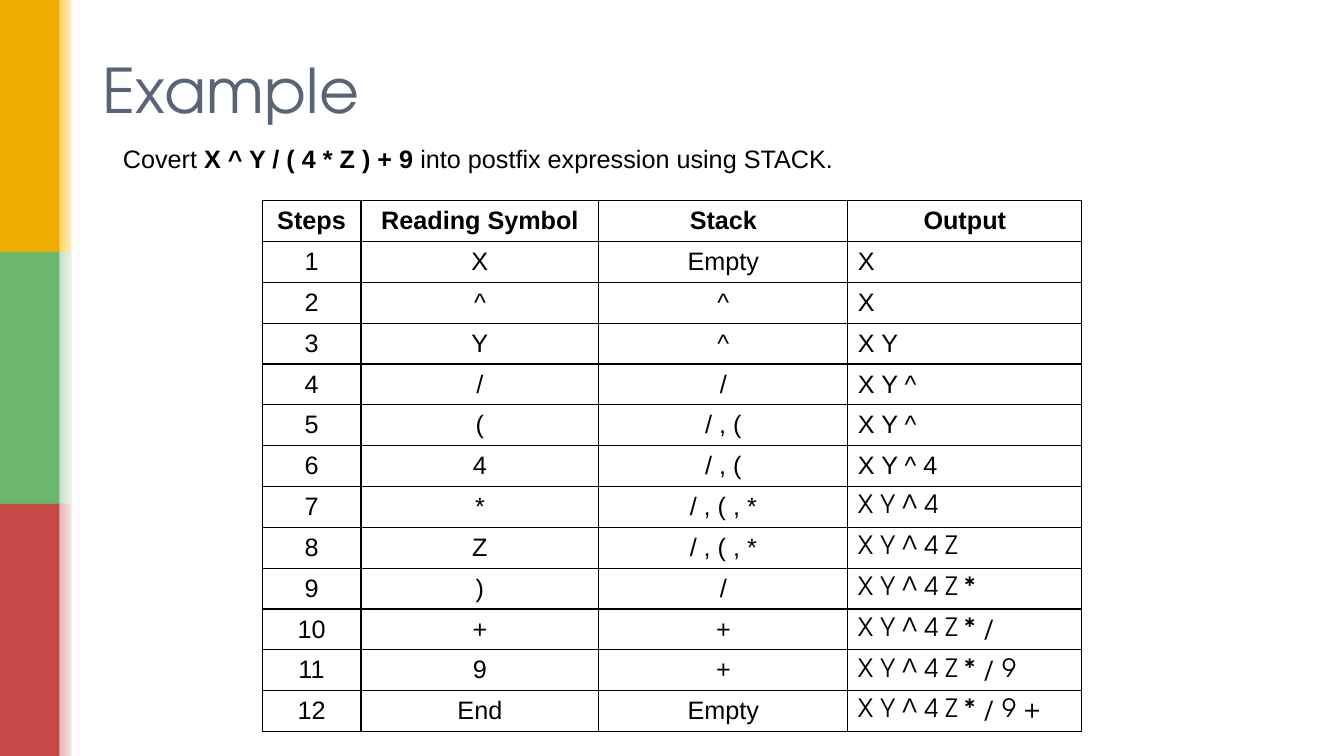
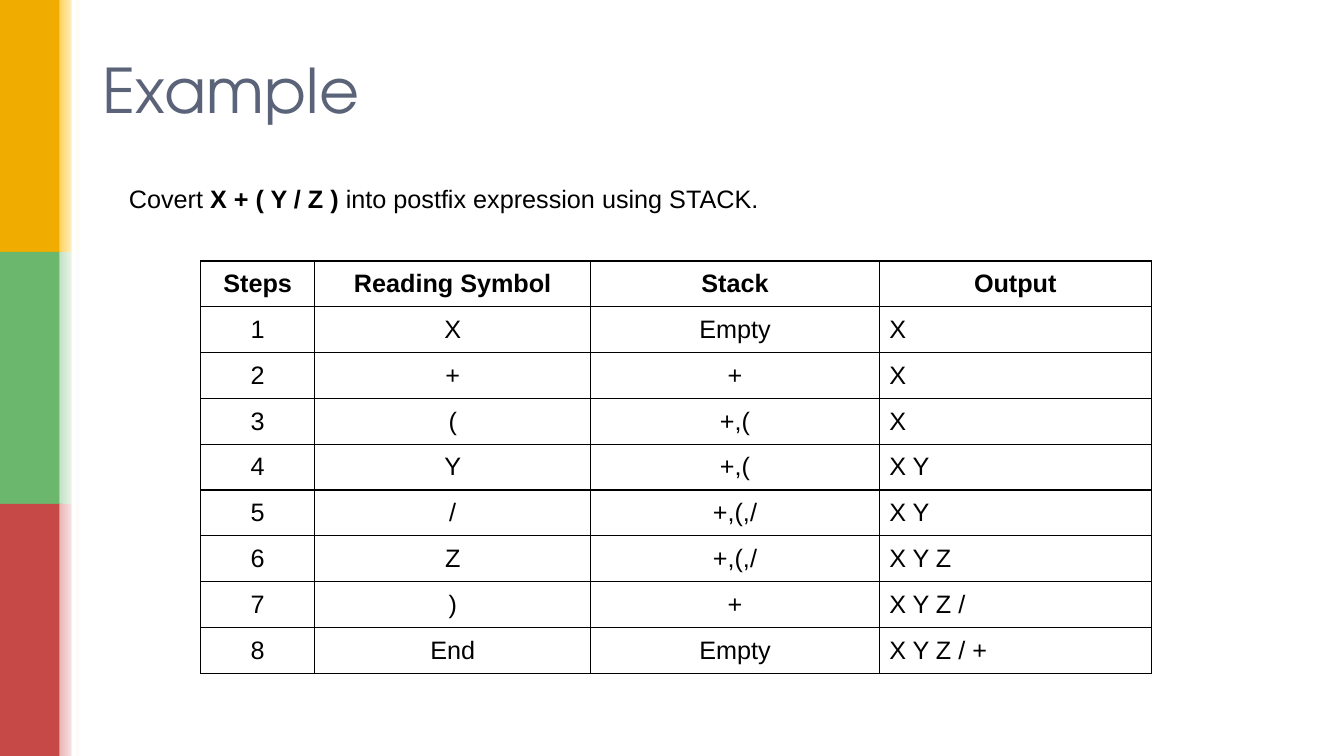
from dataclasses import dataclass

from lxml import etree
from pptx import Presentation
from pptx.dml.color import RGBColor
from pptx.enum.shapes import MSO_SHAPE
from pptx.enum.text import MSO_ANCHOR, PP_ALIGN
from pptx.oxml.ns import qn
from pptx.util import Emu, Pt

RECT = MSO_SHAPE.RECTANGLE
MID = MSO_ANCHOR.MIDDLE
LEFT, CENTER = PP_ALIGN.LEFT, PP_ALIGN.CENTER
SCALE = 9144  # EMU in one px, 100 px to the inch
WIDE, HIGH = 1333, 750


@dataclass(frozen=True)
class Theme:
    ink: str = "000000"
    white: str = "FFFFFF"
    slate: str = "5A6378"
    # Solid band and start of its fade, top to bottom
    bands: tuple = (("F0AD00", "FFD25D"), ("6BB76D", "C4E2C5"), ("C64847", "E8B6B5"))
    head: str = "TeX Gyre Adventor"
    body: str = "Arial"
    big: int = 44
    text: int = 18
    rule: int = 1


T = Theme()


def px(n):
    return Emu(round(n * SCALE))


def rgb(code):
    return RGBColor.from_string(code)


def style(font, name=T.body, size=T.text, color=T.ink, bold=False):
    for key, val in {"name": name, "size": Pt(size), "bold": bold}.items():
        setattr(font, key, val)
    font.color.rgb = rgb(color)


def write(para, text, **look):
    run = para.add_run()
    run.text = text
    style(run.font, **look)


def block(slide, box, color, fade=None):
    shape = slide.shapes.add_shape(RECT, *map(px, box))
    shape.shadow.inherit = False
    shape.line.fill.background()
    if fade:
        shape.fill.gradient()
        shape.fill.gradient_angle = 0
        for stop, code, spot in zip(shape.fill.gradient_stops, (color, fade), (0, 1)):
            stop.color.rgb = rgb(code)
            stop.position = spot
    else:
        shape.fill.solid()
        shape.fill.fore_color.rgb = rgb(color)


def stripe(slide, box):
    """Colour bands down the left side, each fading out to the right."""
    left, top, wide, high = box
    step = high / len(T.bands)
    for i, (color, tint) in enumerate(T.bands):
        block(slide, (left, top + i * step, 62, step), color)
        block(slide, (left + 59, top + i * step, wide - 59, step), tint, T.white)
    block(slide, (left + 71, top, 5, high), T.white)


def title(slide, box, text):
    frame = slide.shapes.add_textbox(*map(px, box)).text_frame
    for key, val in {"word_wrap": True, "vertical_anchor": MID}.items():
        setattr(frame, key, val)
    write(frame.paragraphs[0], text, name=T.head, size=T.big, color=T.slate)


def task(slide, box, term):
    """The question line, with its expression in bold."""
    frame = slide.shapes.add_textbox(*map(px, box)).text_frame
    frame.word_wrap = False
    para = frame.paragraphs[0]
    write(para, "Covert ")
    write(para, f"{term} ", bold=True)
    write(para, "into postfix expression using STACK.")


def border(cell):
    props = cell._tc.get_or_add_tcPr()
    for side in ("lnL", "lnR", "lnT", "lnB"):
        line = etree.SubElement(props, qn(f"a:{side}"), w=str(Pt(T.rule)))
        fill = etree.SubElement(line, qn("a:solidFill"))
        etree.SubElement(fill, qn("a:srgbClr"), val=T.ink)


def trace(slide, box, cols, steps, swap):
    """Table of steps; output uses the heading font from step swap on."""
    rows = [HEADS] + [(str(i), *step) for i, step in enumerate(steps, 1)]
    table = slide.shapes.add_table(len(rows), len(cols), *map(px, box)).table
    table.first_row = table.horz_banding = False
    for col, wide in zip(table.columns, cols):
        col.width = px(wide)
    for r, row in enumerate(rows):
        table.rows[r].height = px(box[3] / len(rows))
        for c, text in enumerate(row):
            cell = table.cell(r, c)
            border(cell)
            cell.fill.background()
            for key, val in {"vertical_anchor": MID, "margin_top": 0, "margin_bottom": 0}.items():
                setattr(cell, key, val)
            last = r > 0 and c == len(row) - 1
            para = cell.text_frame.paragraphs[0]
            para.alignment = LEFT if last else CENTER
            name = T.head if last and swap and r >= swap else T.body
            write(para, text, name=name, bold=r == 0)


def example(deck, term, line, grid, cols, steps, swap=None):
    slide = deck.slides.add_slide(deck.slide_layouts[6])
    stripe(slide, (0, 0, 79, HIGH))
    title(slide, (92, 40, 1150, 96), "Example")
    trace(slide, grid, cols, steps, swap)
    task(slide, line, term)


HEADS = ("Steps", "Reading Symbol", "Stack", "Output")

# Symbol read, stack, output
POWER = [
    ("X", "Empty", "X"),
    ("^", "^", "X"),
    ("Y", "^", "X Y"),
    ("/", "/", "X Y ^"),
    ("(", "/ , (", "X Y ^"),
    ("4", "/ , (", "X Y ^ 4"),
    ("*", "/ , ( , *", "X Y ^ 4"),
    ("Z", "/ , ( , *", "X Y ^ 4 Z"),
    (")", "/", "X Y ^ 4 Z *"),
    ("+", "+", "X Y ^ 4 Z * /"),
    ("9", "+", "X Y ^ 4 Z * / 9"),
    ("End", "Empty", "X Y ^ 4 Z * / 9 +"),
]
SUM = [
    ("X", "Empty", "X"),
    ("+", "+", "X"),
    ("(", "+,(", "X"),
    ("Y", "+,(", "X Y"),
    ("/", "+,(,/", "X Y"),
    ("Z", "+,(,/", "X Y Z"),
    (")", "+", "X Y Z /"),
    ("End", "Empty", "X Y Z / +"),
]


def main():
    deck = Presentation()
    deck.slide_width, deck.slide_height = px(WIDE), px(HIGH)
    example(deck, "X ^ Y / ( 4 * Z ) + 9", (112, 137, 731, 40),
            (260, 199, 813, 527), (98, 236, 247, 232), POWER, swap=7)
    example(deck, "X + ( Y / Z )", (118, 177, 651, 40),
            (199, 259, 943, 409), (113, 274, 286, 270), SUM)
    deck.save("out.pptx")


if __name__ == "__main__":
    main()
